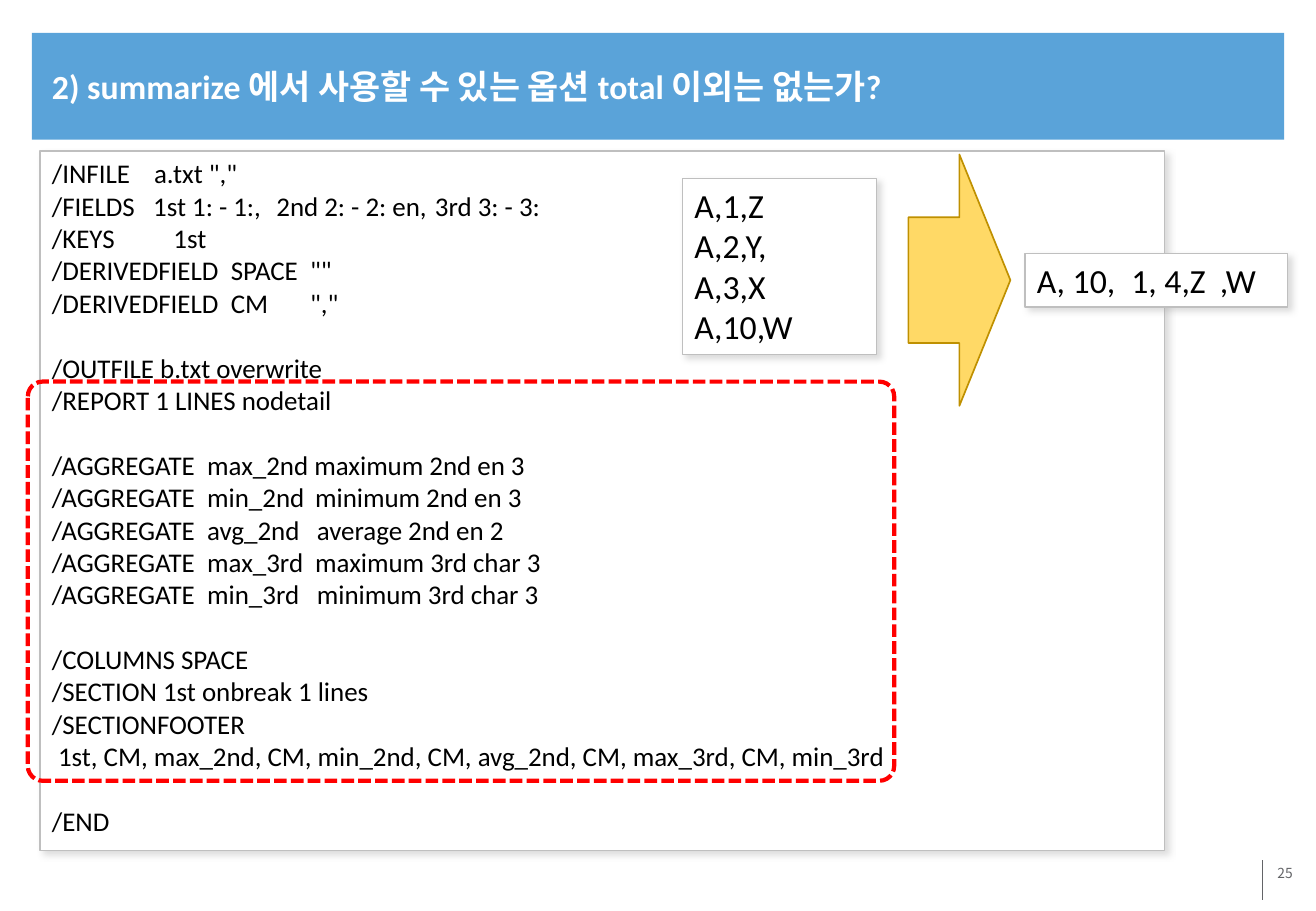
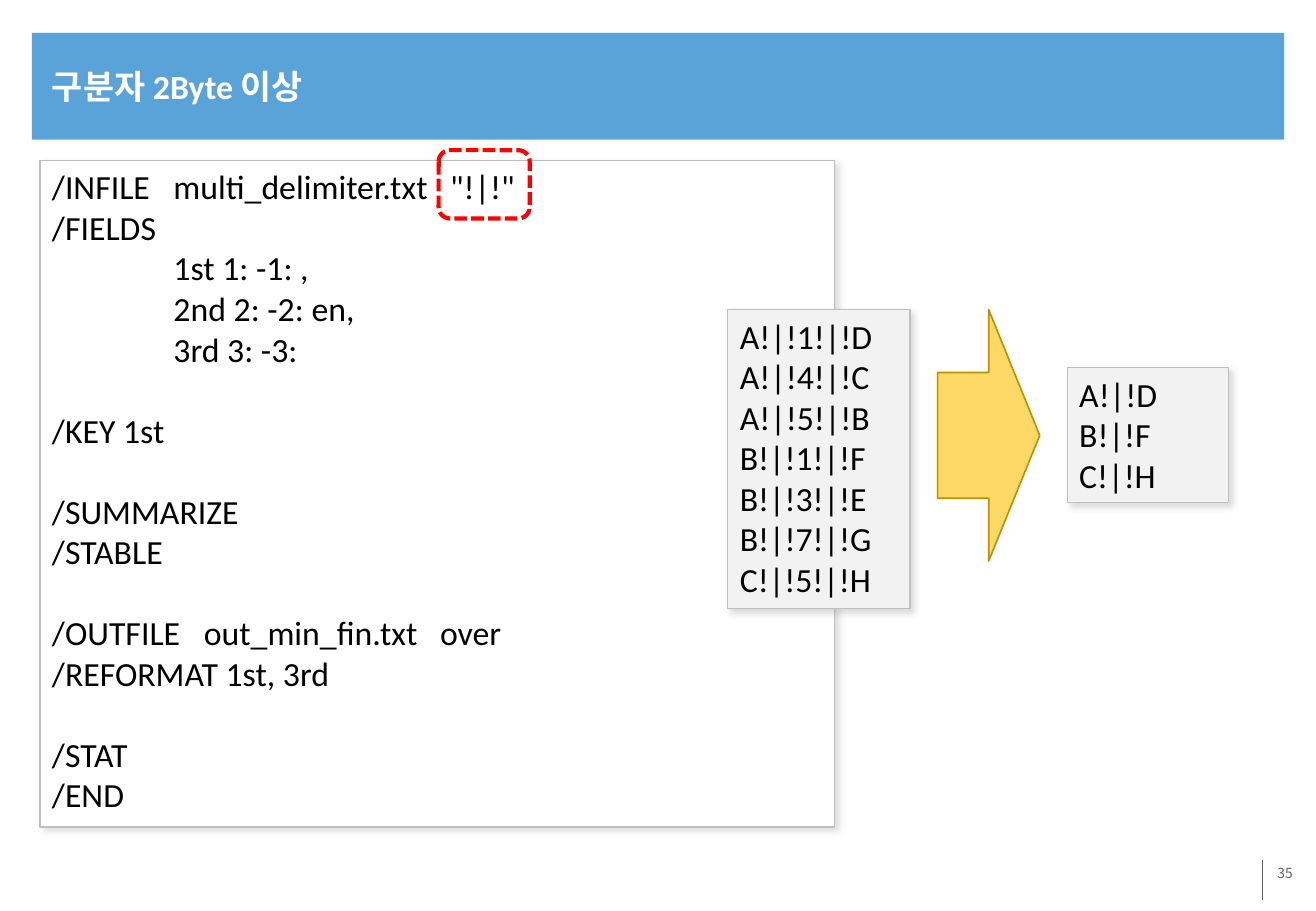
from collections import namedtuple

from lxml import etree
from pptx import Presentation
from pptx.dml.color import RGBColor
from pptx.enum.dml import MSO_LINE
from pptx.enum.shapes import MSO_CONNECTOR, MSO_SHAPE
from pptx.enum.text import MSO_ANCHOR, MSO_AUTO_SIZE, PP_ALIGN
from pptx.oxml.ns import qn
from pptx.util import Pt

RECT, ROUND = MSO_SHAPE.RECTANGLE, MSO_SHAPE.ROUNDED_RECTANGLE
ARROW, STRAIGHT = MSO_SHAPE.RIGHT_ARROW, MSO_CONNECTOR.STRAIGHT
TOP, MIDDLE = MSO_ANCHOR.TOP, MSO_ANCHOR.MIDDLE
LEFT, RIGHT = PP_ALIGN.LEFT, PP_ALIGN.RIGHT
GROW, DASH = MSO_AUTO_SIZE.SHAPE_TO_FIT_TEXT, MSO_LINE.SQUARE_DOT

THEME = {
    "font": "Calibri", "number_font": "Noto Sans CJK KR",
    "band": "5AA3D9", "title": "FFFFFF", "ink": "000000", "footer": "636467",
    "white": "FFFFFF", "grey": "F2F2F2", "border": "BFBFBF", "shadow": "A6A6A6",
    "mark": "FF0000", "arrow": "FFD966", "arrow_line": "BF9000",
    "title_size": 20, "code_size": 16, "data_size": 20, "number_size": 8.2,
    "line_height": 1.2,
}

# A line of code: its text, its tab stops in points, and whether a gap precedes it.
Line = namedtuple("Line", "text tabs gap", defaults=((), False))

OPTION_SCRIPT = [
    Line('/INFILE\ta.txt ","', (60.5,)),
    Line("/FIELDS\t1st 1: - 1:,\t2nd 2: - 2: en,\t3rd 3: - 3:", (60, 133, 227)),
    Line("/KEYS\t1st", (72,)),
    Line('/DERIVEDFIELD\tSPACE\t""', (106, 153)),
    Line('/DERIVEDFIELD\tCM\t","', (106, 153)),
    Line("/OUTFILE b.txt overwrite", gap=True),
    Line("/REPORT 1 LINES nodetail"),
    Line("/AGGREGATE\tmax_2nd maximum 2nd en 3", (92,), True),
    Line("/AGGREGATE\tmin_2nd\tminimum 2nd en 3", (92, 156)),
    Line("/AGGREGATE\tavg_2nd\taverage 2nd en 2", (92, 157)),
    Line("/AGGREGATE\tmax_3rd\tmaximum 3rd char 3", (92, 156)),
    Line("/AGGREGATE\tmin_3rd\tminimum 3rd char 3", (92, 157)),
    Line("/COLUMNS SPACE", gap=True),
    Line("/SECTION 1st onbreak 1 lines"),
    Line("/SECTIONFOOTER"),
    Line(" 1st, CM, max_2nd, CM, min_2nd, CM, avg_2nd, CM, max_3rd, CM, min_3rd"),
    Line("/END", gap=True),
]
DELIMITER_SCRIPT = [
    Line('/INFILE\tmulti_delimiter.txt\t"!|!"', (72, 236)),
    Line("/FIELDS"),
    Line("\t1st 1: -1: ,", (72,)),
    Line("\t2nd 2: -2: en,", (72,)),
    Line("\t3rd 3: -3:", (72,)),
    Line("/KEY 1st", gap=True),
    Line("/SUMMARIZE", gap=True),
    Line("/STABLE"),
    Line("/OUTFILE\tout_min_fin.txt\tover", (90, 230), True),
    Line("/REFORMAT 1st, 3rd"),
    Line("/STAT", gap=True),
    Line("/END"),
]
OPTION_INPUT = [Line(row) for row in ("A,1,Z", "A,2,Y,", "A,3,X", "A,10,W")]
OPTION_OUTPUT = [Line("A, 10,\t1, 4,Z\t,W", (56, 108.5))]
DELIMITER_INPUT = [Line("!|!".join(row)) for row in
                   ("A1D", "A4C", "A5B", "B1F", "B3E", "B7G", "C5H")]
DELIMITER_OUTPUT = [Line("!|!".join(row)) for row in ("AD", "BF", "CH")]

# Places are (left, top, width, height) in points.
SLIDES = [
    {"number": "25",
     "title": "2) summarize 에서 사용할 수 있는 옵션 total 이외는 없는가?",
     "script": (OPTION_SCRIPT, (23.76, 89.5, 666.7, 414.7), "code_size"),
     "data_fill": "white",
     "data": [(OPTION_INPUT, (404.5, 105.8, 115.2, 104.4)),
              (OPTION_OUTPUT, (607.5, 150.3, 155.5, 31.7))],
     "mark": ((16.5, 226.2, 513.5, 236.6), 0.037),
     "arrow": (538.4, 91.6)},
    {"number": "35",
     "title": "구분자 2Byte 이상",
     "script": (DELIMITER_SCRIPT, (23.76, 95, 471, 395.3), "data_size"),
     "data_fill": "grey",
     "data": [(DELIMITER_INPUT, (431.4, 183.6, 108, 177.1)),
              (DELIMITER_OUTPUT, (632.6, 218, 95.8, 80))],
     "mark": ((260, 89, 54, 40.5), 0.167),
     "arrow": (555.8, 183.6)},
]
BAND = (18.9, 19.6, 742.3, 63.2)
TITLE = (23.76, 22.3, 734.4, 56.9)
NUMBER = (639.4, 509.8, 131.8, 36)
RULE = (748.1, 509.8, 748.1, 533.5)
ARROW_SIZE = (60.5, 149)


def color(name):
    """Return a theme colour."""
    return RGBColor.from_string(THEME[name])


def write(shape, lines, size="data_size", font="font", ink="ink", bold=False,
          align=LEFT, anchor=TOP, margins=(7.2, 3.6)):
    """Fill a shape with formatted lines of text."""
    frame = shape.text_frame
    frame.word_wrap, frame.vertical_anchor = True, anchor
    frame.margin_left = frame.margin_right = Pt(margins[0])
    frame.margin_top = frame.margin_bottom = Pt(margins[1])
    for index, line in enumerate(lines):
        paragraph = frame.add_paragraph() if index else frame.paragraphs[0]
        paragraph.alignment = align
        if line.gap:
            paragraph.space_before = Pt(THEME[size] * THEME["line_height"])
        if line.tabs:
            stops = etree.SubElement(paragraph._p.get_or_add_pPr(), qn("a:tabLst"))
            for stop in line.tabs:
                etree.SubElement(stops, qn("a:tab"), pos=str(int(Pt(stop))), algn="l")
        run = paragraph.add_run()
        run.text = line.text
        run.font.name, run.font.size = THEME[font], Pt(THEME[size])
        run.font.bold, run.font.color.rgb = bold, color(ink)
    return frame


def add_figure(slide, kind, place, fill=None, line=None, width=0.75):
    """Add a preset shape without shadow; None means no fill or no line."""
    figure = slide.shapes.add_shape(kind, *map(Pt, place))
    figure.shadow.inherit = False
    if fill:
        figure.fill.solid()
        figure.fill.fore_color.rgb = color(fill)
    else:
        figure.fill.background()
    if line:
        figure.line.color.rgb = color(line)
        figure.line.width = Pt(width)
    else:
        figure.line.fill.background()
    return figure


def add_panel(slide, lines, place, size="data_size", fill="white"):
    """Add a bordered text panel with a soft shadow."""
    panel = add_figure(slide, RECT, place, fill, "border")
    effects = panel._element.spPr.find(qn("a:effectLst"))
    shadow = etree.SubElement(effects, qn("a:outerShdw"), blurRad=str(int(Pt(4))),
                              dist=str(int(Pt(3))), dir="2700000", algn="tl",
                              rotWithShape="0")
    tint = etree.SubElement(shadow, qn("a:srgbClr"), val=THEME["shadow"])
    etree.SubElement(tint, qn("a:alpha"), val="40000")
    write(panel, lines, size).auto_size = GROW


def add_frame(slide, title, number):
    """Add the title band, title, page number and footer rule."""
    add_figure(slide, RECT, BAND, "band")
    write(slide.shapes.add_textbox(*map(Pt, NUMBER)), [Line(number)], "number_size",
          "number_font", "footer", align=RIGHT, margins=(5, 2.9))
    rule = slide.shapes.add_connector(STRAIGHT, *map(Pt, RULE))
    rule.line.color.rgb, rule.line.width = color("footer"), Pt(0.75)
    etree.SubElement(rule._element.spPr, qn("a:effectLst"))
    write(slide.shapes.add_textbox(*map(Pt, TITLE)), [Line(title)], "title_size",
          ink="title", bold=True, anchor=MIDDLE)


def build_slide(deck, content):
    """Build one slide: script, highlight, data panels and arrow."""
    slide = deck.slides.add_slide(deck.slide_layouts[6])
    add_frame(slide, content["title"], content["number"])
    add_panel(slide, *content["script"])
    place, rounding = content["mark"]
    mark = add_figure(slide, ROUND, place, line="mark", width=2.5)
    mark.adjustments[0] = rounding
    mark.line.dash_style = DASH
    for lines, place in content["data"]:
        add_panel(slide, lines, place, fill=content["data_fill"])
    add_figure(slide, ARROW, content["arrow"] + ARROW_SIZE, "arrow", "arrow_line", 1)


deck = Presentation()
deck.slide_width, deck.slide_height = Pt(780), Pt(540)
for content in SLIDES:
    build_slide(deck, content)
deck.save("out.pptx")
